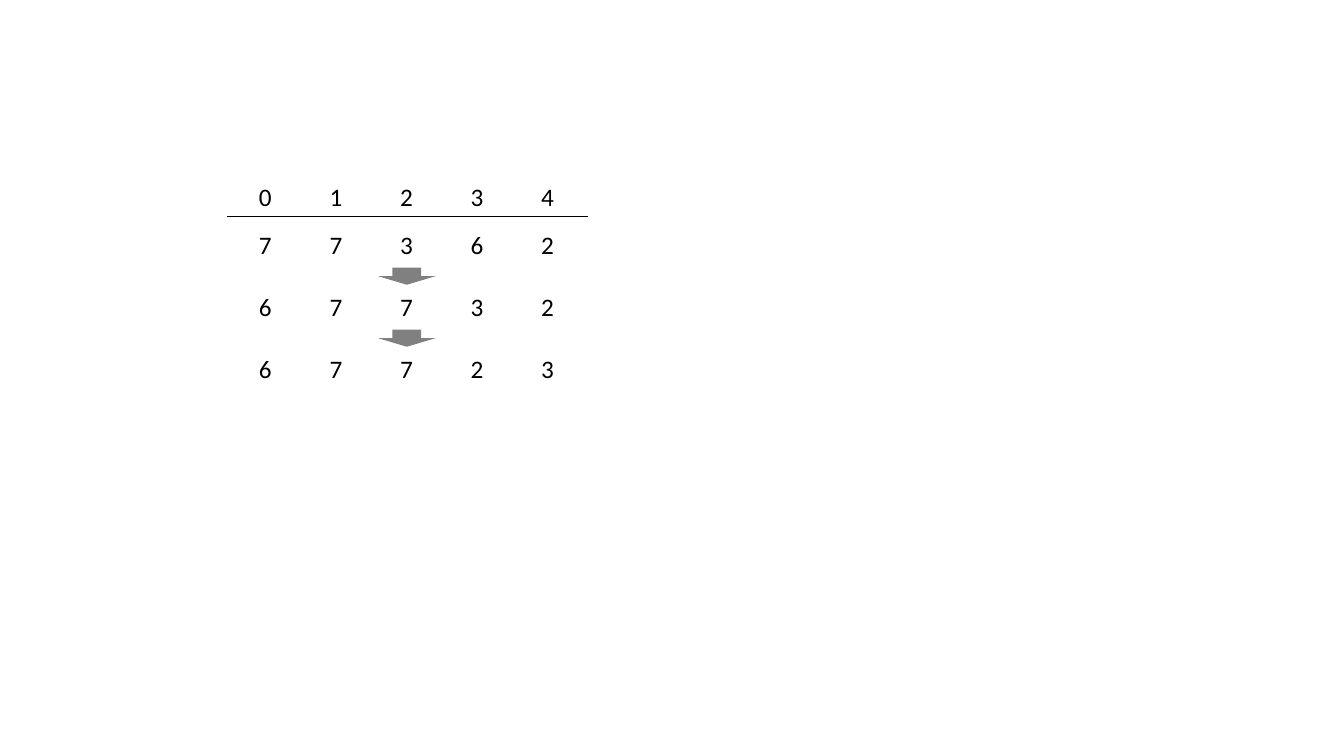
from dataclasses import dataclass

from lxml import etree
from pptx import Presentation
from pptx.dml.color import RGBColor
from pptx.enum.shapes import MSO_CONNECTOR, MSO_SHAPE
from pptx.enum.text import MSO_AUTO_SIZE
from pptx.oxml.ns import qn
from pptx.util import Inches, Pt

STRAIGHT = MSO_CONNECTOR.STRAIGHT
DOWN = MSO_SHAPE.DOWN_ARROW
GROW = MSO_AUTO_SIZE.SHAPE_TO_FIT_TEXT


@dataclass(frozen=True)
class Theme:
    font: str = "Calibri"
    size: Pt = Pt(18)
    rule: Pt = Pt(0.5)
    ink: RGBColor = RGBColor(0, 0, 0)
    arrow: RGBColor = RGBColor(0x80, 0x80, 0x80)


THEME = Theme()

# Grid of digits, in inches
LEFT, PITCH = 2.47, 0.7
HEAD_TOP = 1.75
STEP_TOP, STEP_GAP = 2.23, 0.615
INDEX = "01234"
STEPS = ("77362", "67732", "67723")


def add_digit(slide, digit, left, top):
    box = slide.shapes.add_textbox(
        Inches(left), Inches(top), Inches(0.33), Inches(0.4))
    frame = box.text_frame
    frame.word_wrap = False
    frame.auto_size = GROW
    run = frame.paragraphs[0].add_run()
    run.text = digit
    run.font.name = THEME.font
    run.font.size = THEME.size
    run.font.color.rgb = THEME.ink


def add_row(slide, digits, top):
    for col, digit in enumerate(digits):
        add_digit(slide, digit, LEFT + col * PITCH, top)


def add_rule(slide, left, right, top):
    line = slide.shapes.add_connector(
        STRAIGHT, Inches(left), Inches(top), Inches(right), Inches(top))
    line.line.color.rgb = THEME.ink
    line.line.width = THEME.rule
    etree.SubElement(line._element.spPr, qn("a:effectLst"))


def add_arrow(slide, left, top):
    arrow = slide.shapes.add_shape(
        DOWN, Inches(left), Inches(top), Inches(0.57), Inches(0.17))
    arrow.shadow.inherit = False
    arrow.fill.solid()
    arrow.fill.fore_color.rgb = THEME.arrow
    arrow.line.fill.background()


def main():
    deck = Presentation()
    deck.slide_width, deck.slide_height = Inches(13.33), Inches(7.5)
    slide = deck.slides.add_slide(deck.slide_layouts[6])

    # Index header
    add_row(slide, INDEX, HEAD_TOP)
    add_rule(slide, 2.25, 5.83, 2.15)

    # Array after each step, with an arrow between steps
    for step, digits in enumerate(STEPS):
        top = STEP_TOP + step * STEP_GAP
        add_row(slide, digits, top)
        if step:
            add_arrow(slide, 3.75, top - 0.19)

    deck.save("out.pptx")


main()
